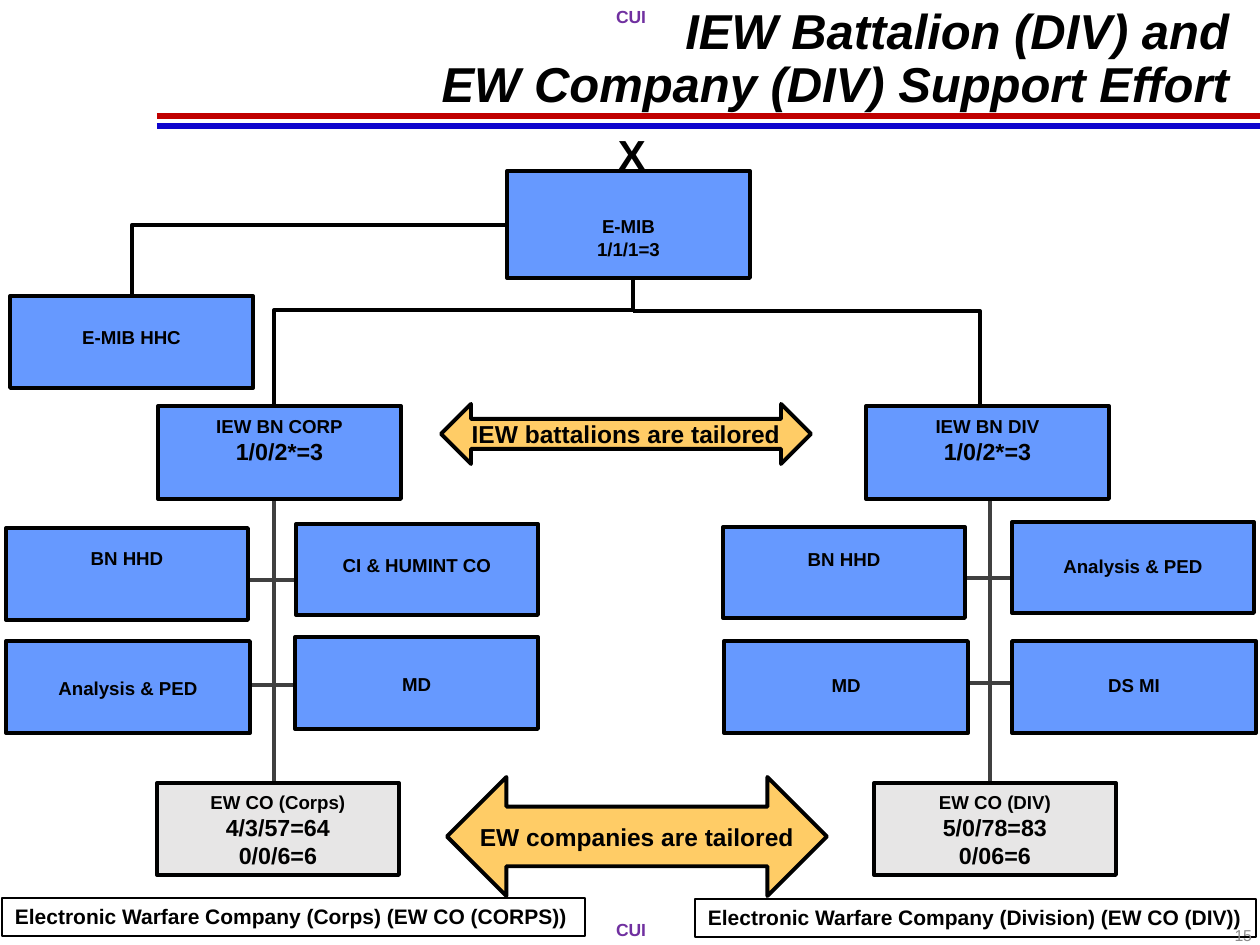
from typing import NamedTuple

from lxml import etree
from pptx import Presentation
from pptx.dml.color import RGBColor
from pptx.enum.shapes import MSO_CONNECTOR, MSO_SHAPE
from pptx.enum.text import MSO_ANCHOR, PP_ALIGN
from pptx.oxml.ns import qn
from pptx.util import Pt

EMU_PER_PX = 914400 / 126
FONT = "Arial"
STRAIGHT, ELBOW = MSO_CONNECTOR.STRAIGHT, MSO_CONNECTOR.ELBOW
RECTANGLE, DOUBLE_ARROW = MSO_SHAPE.RECTANGLE, MSO_SHAPE.LEFT_RIGHT_ARROW
TOP, MIDDLE = MSO_ANCHOR.TOP, MSO_ANCHOR.MIDDLE
LEFT, CENTER, RIGHT = PP_ALIGN.LEFT, PP_ALIGN.CENTER, PP_ALIGN.RIGHT
TITLE_ONLY = 5
NAME_SIZE, COUNT_SIZE = 10.7, 13.3

COLORS = {
    "black": "000000",
    "unit": "6699FF",
    "company": "E7E6E6",
    "arrow": "FFCC66",
    "branch": "404040",
    "red": "C00000",
    "blue": "0F05CD",
    "marking": "7030A0",
    "number": "8C8C8C",
}


class Area(NamedTuple):
    left: int
    top: int
    width: int
    height: int


class Insets(NamedTuple):
    left: int = 13
    top: int = 6
    right: int = 13
    bottom: int = 6


class Unit(NamedTuple):
    name: str
    area: Area
    text_top: int
    counts: tuple[str, ...] = ()
    count_size: float = COUNT_SIZE
    fill: str = "unit"


class Line(NamedTuple):
    start: tuple[int, int]
    end: tuple[int, int]
    color: str = "branch"
    width: float = 2.25


class Label(NamedTuple):
    text: str
    area: Area
    size: float
    color: str = "black"
    bold: bool = True
    align: PP_ALIGN = LEFT
    insets: Insets = Insets()
    outlined: bool = False


UNITS = [
    Unit("E-MIB", Area(507, 171, 243, 107), 44, ("1/1/1=3",), NAME_SIZE),
    Unit("E-MIB HHC", Area(10, 296, 243, 92), 30),
    Unit("IEW BN CORP", Area(158, 406, 243, 93), 9, ("1/0/2*=3",)),
    Unit("BN HHD", Area(6, 528, 242, 92), 19),
    Unit("CI & HUMINT CO", Area(296, 524, 242, 91), 30),
    Unit("Analysis & PED", Area(6, 641, 244, 92), 36),
    Unit("MD", Area(295, 637, 243, 92), 36),
    Unit("EW CO (Corps)", Area(157, 783, 242, 92), 8, ("4/3/57=64", "0/0/6=6"), fill="company"),
    Unit("IEW BN DIV", Area(866, 406, 243, 93), 9, ("1/0/2*=3",)),
    Unit("BN HHD", Area(723, 527, 242, 91), 21),
    Unit("Analysis & PED", Area(1012, 522, 242, 91), 33),
    Unit("MD", Area(724, 641, 244, 92), 33),
    Unit("DS MI", Area(1012, 641, 244, 92), 33),
    Unit("EW CO (DIV)", Area(874, 783, 242, 92), 8, ("5/0/78=83", "0/06=6"), fill="company"),
]

STRAIGHT_LINES = [
    Line((157, 116), (1260, 116), "red", 3),
    Line((157, 126), (1260, 126), "blue", 3),
    Line((633, 278), (633, 310), "black"),
    Line((274, 499), (274, 783)),
    Line((248, 580), (296, 580)),
    Line((250, 685), (295, 685)),
    Line((990, 499), (990, 781)),
    Line((965, 578), (1012, 578)),
    Line((968, 683), (1012, 683)),
]

ELBOW_LINES = [
    Line((507, 225), (132, 296), "black"),
    Line((633, 310), (274, 406), "black"),
    Line((633, 311), (980, 406), "black"),
]

ARROWS = {
    "IEW battalions are tailored": Area(441, 404, 370, 60),
    "EW companies are tailored": Area(447, 777, 380, 119),
}

LABELS = [
    Label("CUI", Area(603, 0, 56, 34), 10, "marking"),
    Label("CUI", Area(603, 913, 56, 34), 10, "marking"),
    Label("X", Area(615, 127, 26, 53), 24, insets=Insets(3, 2, 0, 0)),
    Label("Electronic Warfare Company (Corps) (EW CO (CORPS))",
          Area(2, 898, 583, 38), 12, outlined=True),
    Label("Electronic Warfare Company (Division) (EW CO (DIV))",
          Area(695, 899, 561, 38), 12, outlined=True),
    Label("15", Area(982, 919, 283, 34), 9, "number", False, RIGHT, Insets(top=7)),
]


def px(length: int) -> int:
    return round(length * EMU_PER_PX)


def rgb(name: str) -> RGBColor:
    return RGBColor.from_string(COLORS[name])


def write(shape, lines, align, anchor=TOP, insets=Insets(), color="black", bold=True):
    """Fill a shape with one paragraph per (text, point size) pair."""
    frame = shape.text_frame
    frame.word_wrap = False
    frame.vertical_anchor = anchor
    frame.margin_left, frame.margin_top, frame.margin_right, frame.margin_bottom = map(px, insets)
    frame.text = "\n".join(text for text, _ in lines)
    for para, (_, size) in zip(frame.paragraphs, lines):
        para.alignment = align
        para.font.name = FONT
        para.font.size = Pt(size)
        para.font.bold = bold
        para.font.color.rgb = rgb(color)


def add_outlined_shape(page, kind, area: Area, fill: str):
    shape = page.shapes.add_shape(kind, *map(px, area))
    shape.shadow.inherit = False
    shape.fill.solid()
    shape.fill.fore_color.rgb = rgb(fill)
    shape.line.color.rgb = rgb("black")
    shape.line.width = Pt(2.25)
    return shape


def add_unit(page, unit: Unit) -> None:
    box = add_outlined_shape(page, RECTANGLE, unit.area, unit.fill)
    lines = [(unit.name, NAME_SIZE)] + [(count, unit.count_size) for count in unit.counts]
    write(box, lines, CENTER, insets=Insets(0, unit.text_top, 0, 0))


def add_line(page, line: Line, kind=STRAIGHT) -> None:
    connector = page.shapes.add_connector(kind, *map(px, line.start + line.end))
    connector.line.color.rgb = rgb(line.color)
    connector.line.width = Pt(line.width)
    properties = connector._element.spPr
    if kind == ELBOW:
        # One bend: across first, then down.
        properties.find(qn("a:prstGeom")).set("prst", "bentConnector2")
    etree.SubElement(properties, qn("a:effectLst"))


def add_label(page, label: Label) -> None:
    box = page.shapes.add_textbox(*map(px, label.area))
    write(box, [(label.text, label.size)], label.align,
          insets=label.insets, color=label.color, bold=label.bold)
    if label.outlined:
        box.line.color.rgb = rgb("black")
        box.line.width = Pt(0.75)


def set_title(page) -> None:
    title = page.shapes.title
    title.left, title.top, title.width, title.height = map(px, Area(169, 1, 1086, 183))
    lines = [("IEW Battalion (DIV) and", 28), ("EW Company (DIV) Support Effort", 28)]
    write(title, lines, RIGHT, insets=Insets(right=26))
    for para in title.text_frame.paragraphs:
        para.font.italic = True
        para.line_spacing = 0.9
        para.space_before = Pt(0)


def main() -> None:
    deck = Presentation()
    deck.slide_width, deck.slide_height = px(1260), px(945)
    page = deck.slides.add_slide(deck.slide_layouts[TITLE_ONLY])
    set_title(page)
    for line in STRAIGHT_LINES:
        add_line(page, line)
    for line in ELBOW_LINES:
        add_line(page, line, ELBOW)
    for unit in UNITS:
        add_unit(page, unit)
    for text, area in ARROWS.items():
        arrow = add_outlined_shape(page, DOUBLE_ARROW, area, "arrow")
        write(arrow, [(text, 14)], CENTER, MIDDLE, Insets(0, 0, 0, 0))
    for label in LABELS:
        add_label(page, label)
    deck.save("out.pptx")


if __name__ == "__main__":
    main()
